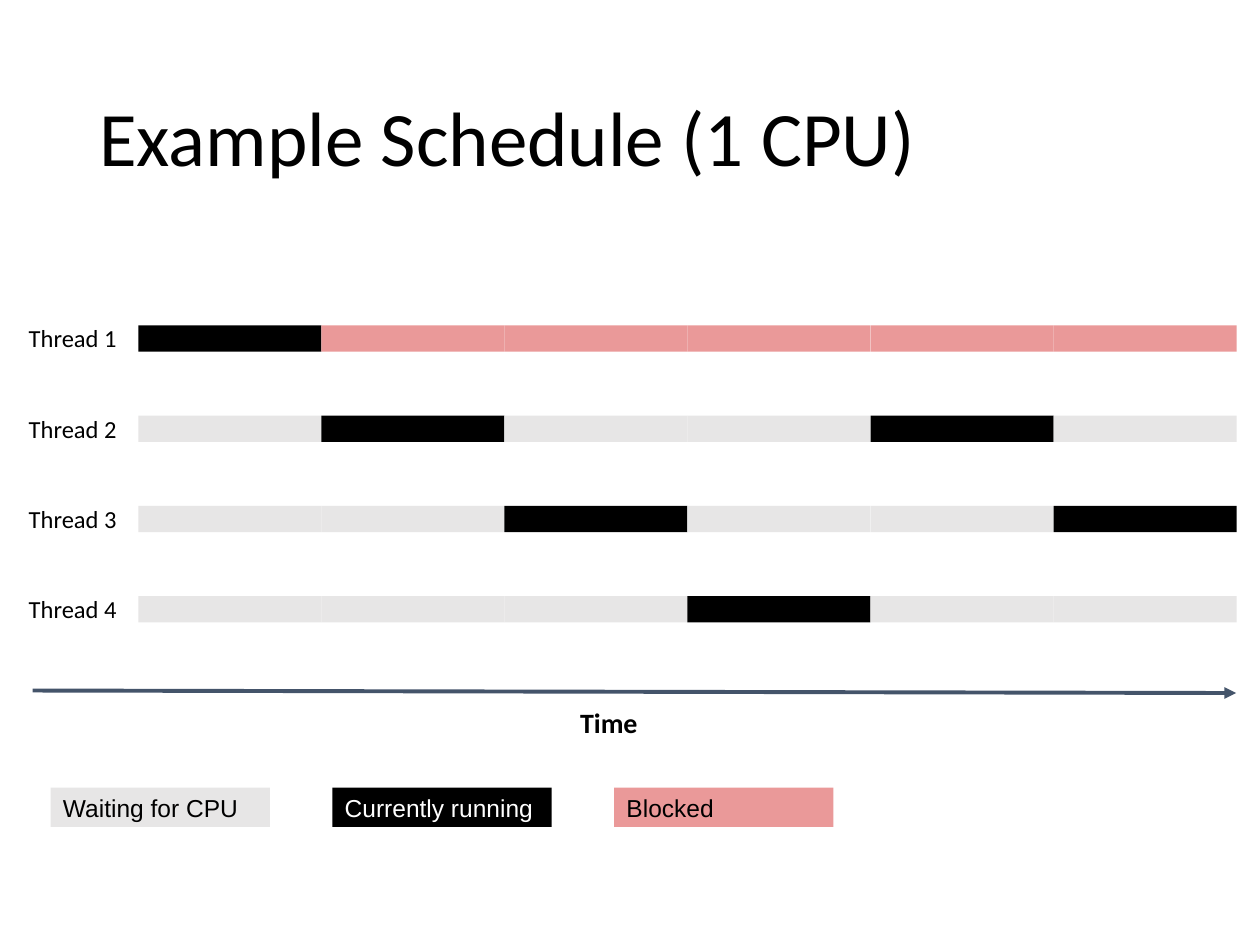
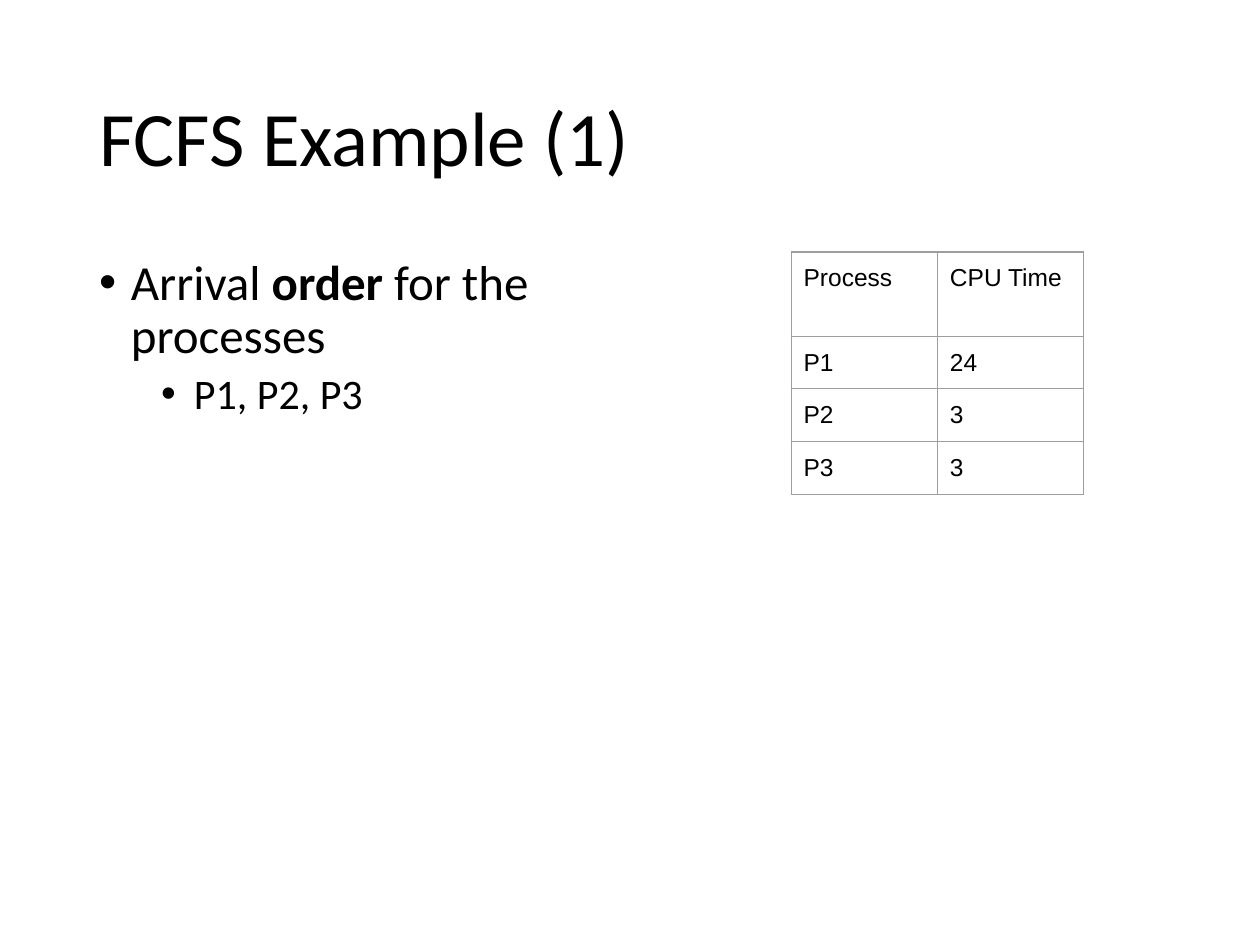
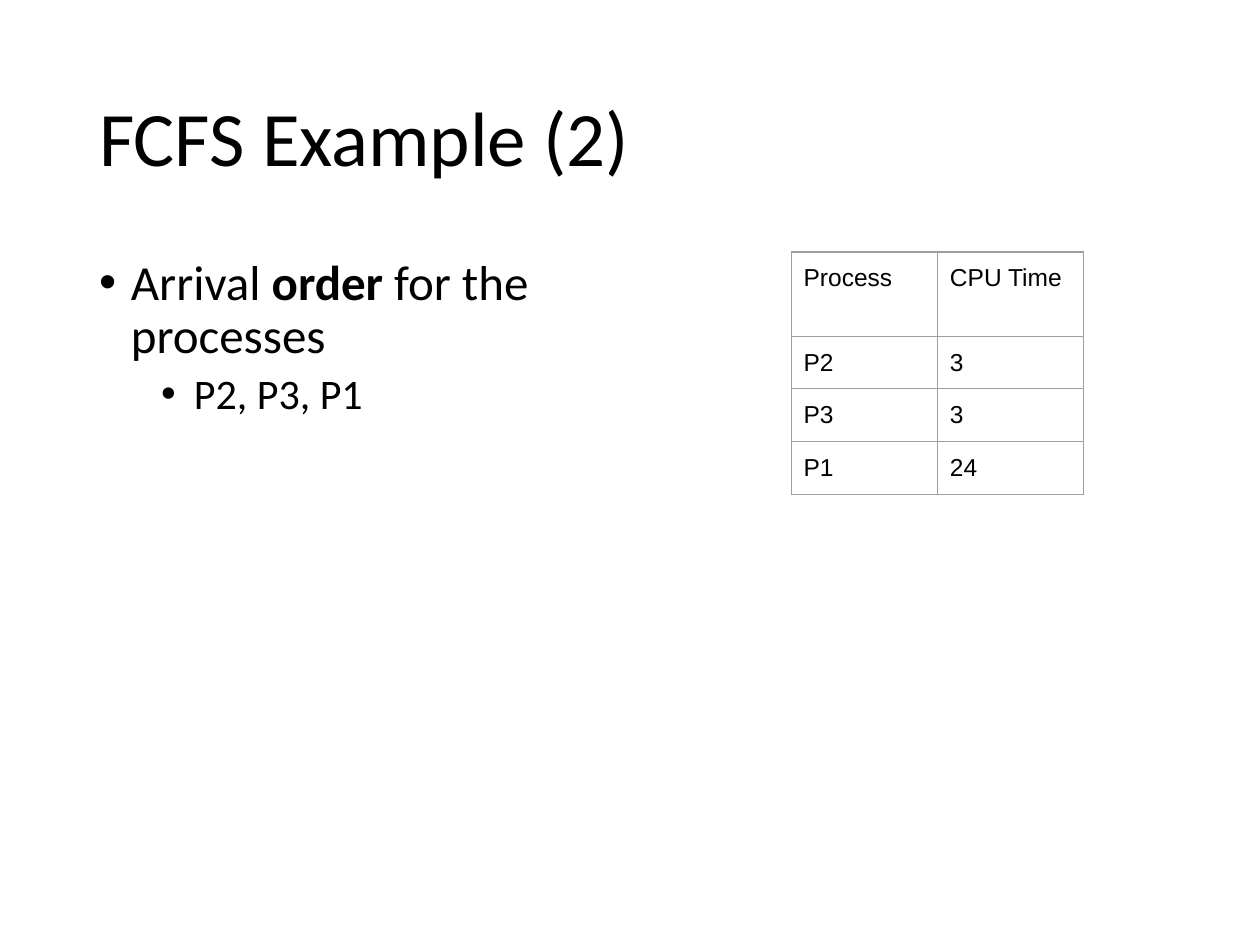
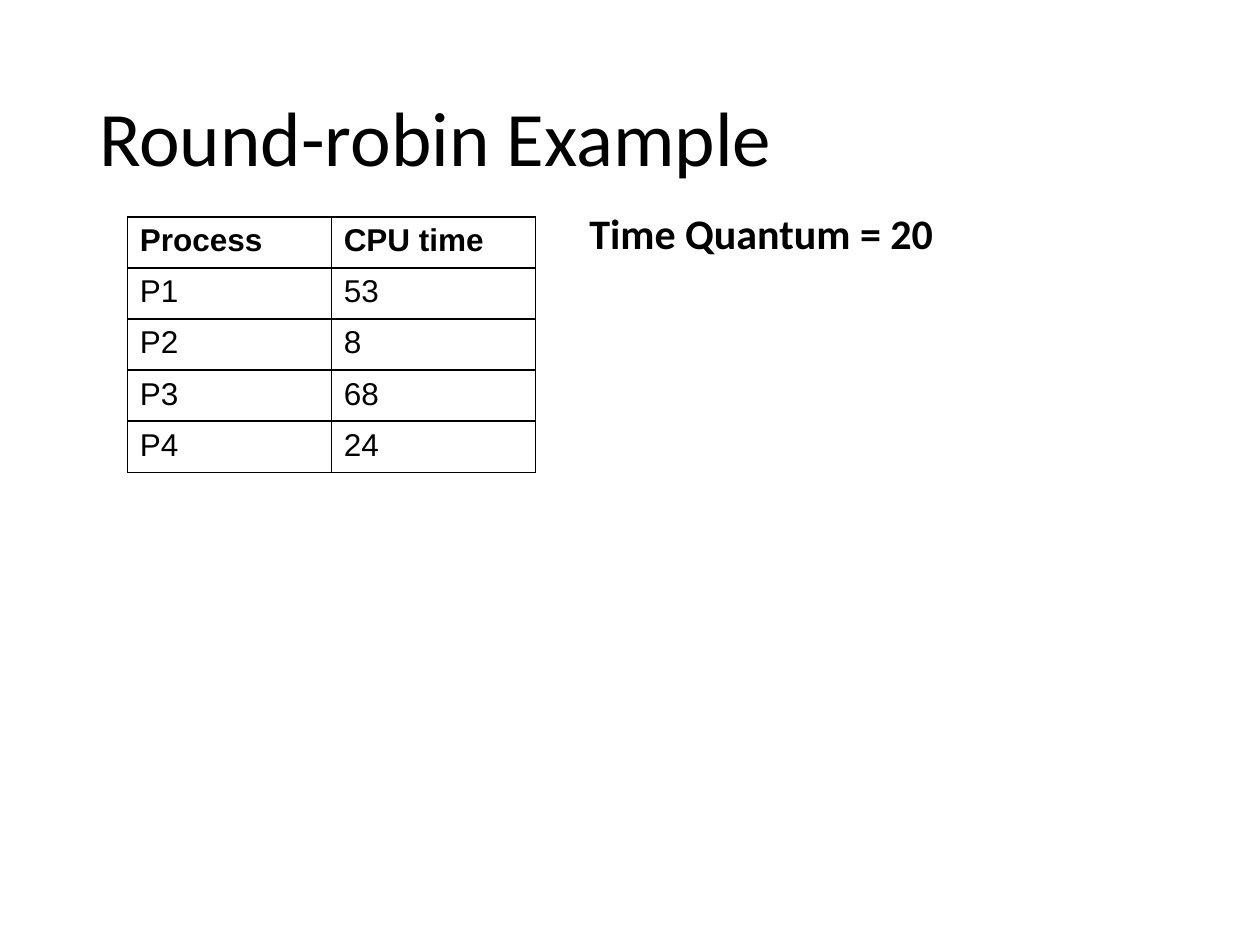
from dataclasses import dataclass

from lxml.etree import SubElement
from pptx import Presentation
from pptx.dml.color import RGBColor
from pptx.enum.shapes import MSO_CONNECTOR, MSO_SHAPE
from pptx.enum.text import MSO_ANCHOR, MSO_AUTO_SIZE, PP_ALIGN
from pptx.oxml.ns import qn
from pptx.util import Cm, Pt


@dataclass(frozen=True)
class Theme:
    black: str = "000000"
    white: str = "FFFFFF"
    waiting: str = "E7E6E6"
    blocked: str = "EA9999"
    arrow: str = "44546A"
    grid: str = "9E9E9E"
    head_font: str = "Calibri"
    plain_font: str = "Arial"
    title: int = 44
    body: int = 28
    sub: int = 24
    table: int = 18
    axis: int = 16
    label: int = 14


T = Theme()
PAD, THIN_PAD = 0.25, 0.13

STATES = {
    "W": ("Waiting for CPU", T.waiting, T.black),
    "R": ("Currently running", T.black, T.white),
    "B": ("Blocked", T.blocked, T.black),
}
SCHEDULE = [
    ("Thread 1", "RBBBBB"),
    ("Thread 2", "WRWWRW"),
    ("Thread 3", "WWRWWR"),
    ("Thread 4", "WWWRWW"),
]
ARRIVAL = [("Arrival ", False), ("order", True), (" for the processes", False)]
FCFS = [
    ("FCFS Example (1)", [("P1", "24"), ("P2", "3"), ("P3", "3")]),
    ("FCFS Example (2)", [("P2", "3"), ("P3", "3"), ("P1", "24")]),
]
FCFS_HEAD = ("Process", "CPU Time")
ROUND_ROBIN = [("Process", "CPU time"), ("P1", "53"), ("P2", "8"),
               ("P3", "68"), ("P4", "24")]

BAR_X, BAR_Y, BAR_W, BAR_H, BAR_PITCH = 2.79, 6.56, 3.69, 0.53, 1.82
KEY_X, KEY_Y, KEY_W, KEY_H, KEY_PITCH = 1.02, 15.88, 4.42, 0.79, 5.68


def style(p, size, font=T.head_font, color=T.black, bold=False):
    for r in p.runs:
        r.font.name = font
        r.font.size = Pt(size)
        r.font.bold = bold
        r.font.color.rgb = RGBColor.from_string(color)


def set_margins(obj, x, y):
    obj.margin_left = obj.margin_right = Cm(x)
    obj.margin_top = obj.margin_bottom = Cm(y)


def place(sp, x, y, w, h):
    sp.left, sp.top, sp.width, sp.height = Cm(x), Cm(y), Cm(w), Cm(h)


def add_slide(prs, title, layout="Title Only"):
    slide = prs.slides.add_slide(prs.slide_layouts.get_by_name(layout))
    sp = slide.shapes.title
    place(sp, 1.75, 1.02, 21.89, 3.68)
    tf = sp.text_frame
    tf.text = title
    tf.auto_size = MSO_AUTO_SIZE.NONE
    tf.vertical_anchor = MSO_ANCHOR.MIDDLE
    set_margins(tf, PAD, THIN_PAD)
    p = tf.paragraphs[0]
    p.alignment = PP_ALIGN.LEFT
    p.line_spacing = 0.9
    style(p, T.title)
    return slide


def add_text(shapes, text, box, size, pad_y=PAD, bold=False, align=PP_ALIGN.LEFT):
    tf = shapes.add_textbox(*map(Cm, box)).text_frame
    tf.word_wrap = True
    tf.text = text
    set_margins(tf, PAD, pad_y)
    p = tf.paragraphs[0]
    p.alignment = align
    style(p, size, bold=bold)


def add_bar(shapes, box, fill):
    sp = shapes.add_shape(MSO_SHAPE.RECTANGLE, *map(Cm, box))
    sp.shadow.inherit = False
    sp.fill.solid()
    sp.fill.fore_color.rgb = RGBColor.from_string(fill)
    sp.line.fill.background()
    return sp


def add_arrow(shapes, x1, y1, x2, y2):
    line = shapes.add_connector(MSO_CONNECTOR.STRAIGHT, *map(Cm, (x1, y1, x2, y2)))
    line.line.width = Pt(2.25)
    line.line.color.rgb = RGBColor.from_string(T.arrow)
    SubElement(line.line._get_or_add_ln(), qn("a:tailEnd"), type="triangle")
    SubElement(line._element.spPr, qn("a:effectLst"))


def add_border(cell, color, width):
    tc_pr = cell._tc.get_or_add_tcPr()
    for side in ("a:lnL", "a:lnR", "a:lnT", "a:lnB"):
        ln = SubElement(tc_pr, qn(side), w=str(Pt(width)))
        fill = SubElement(ln, qn("a:solidFill"))
        SubElement(fill, qn("a:srgbClr"), val=color)


def add_table(slide, rows, x, y, col_w, heights, size, border, pad_y, bold_head=False):
    n_cols = len(rows[0])
    frame = slide.shapes.add_table(len(rows), n_cols, Cm(x), Cm(y),
                                   Cm(col_w * n_cols), Cm(sum(heights)))
    table = frame.table
    table.first_row = table.horz_banding = False
    for col in table.columns:
        col.width = Cm(col_w)
    for i, (row, height) in enumerate(zip(rows, heights)):
        table.rows[i].height = Cm(height)
        for j, text in enumerate(row):
            cell = table.cell(i, j)
            cell.text = text
            set_margins(cell, PAD, pad_y)
            add_border(cell, *border)
            cell.fill.background()
            style(cell.text_frame.paragraphs[0], size, T.plain_font,
                  bold=bold_head and i == 0)


def set_bullet(p, left, hang):
    p_pr = p._p.get_or_add_pPr()
    p_pr.set("marL", str(Cm(left)))
    p_pr.set("indent", str(-Cm(hang)))
    color = SubElement(p_pr, qn("a:buClr"))
    SubElement(color, qn("a:srgbClr"), val=T.black)
    SubElement(p_pr, qn("a:buFont"), typeface=T.plain_font)
    SubElement(p_pr, qn("a:buChar"), char="•")


def add_bullets(slide, order):
    sp = slide.placeholders[1]
    place(sp, 1.75, 5.08, 10.95, 12.09)
    tf = sp.text_frame
    tf.auto_size = MSO_AUTO_SIZE.NONE
    set_margins(tf, PAD, THIN_PAD)
    levels = [(ARRIVAL, T.body, 0.64, 0), ([(order, False)], T.sub, 1.91, 5)]
    for level, (parts, size, left, before) in enumerate(levels):
        p = tf.add_paragraph() if level else tf.paragraphs[0]
        p.level = level
        p.line_spacing = 0.9
        p.space_before = Pt(before)
        set_bullet(p, left, 0.66)
        for text, _ in parts:
            p.add_run().text = text
        style(p, size)
        for r, (_, bold) in zip(p.runs, parts):
            r.font.bold = bold


def build_schedule(prs):
    shapes = add_slide(prs, "Example Schedule (1 CPU)").shapes
    for i, (thread, states) in enumerate(SCHEDULE):
        group = shapes.add_group_shape().shapes
        y = BAR_Y + i * BAR_PITCH
        for j, state in enumerate(states):
            add_bar(group, (BAR_X + j * BAR_W, y, BAR_W, BAR_H), STATES[state][1])
        add_text(group, thread, (0.33, y - 0.29, 2.44, 1.12), T.label)
    add_arrow(shapes, 0.66, 13.92, 24.92, 13.97)
    add_text(shapes, "Time", (10.52, 13.97, 3.51, 1.19), T.axis,
             bold=True, align=PP_ALIGN.CENTER)
    for i, (name, fill, color) in enumerate(STATES.values()):
        sp = add_bar(shapes, (KEY_X + i * KEY_PITCH, KEY_Y, KEY_W, KEY_H), fill)
        tf = sp.text_frame
        tf.text = name
        tf.vertical_anchor = MSO_ANCHOR.MIDDLE
        set_margins(tf, PAD, PAD)
        p = tf.paragraphs[0]
        p.alignment = PP_ALIGN.LEFT
        style(p, T.label, T.plain_font, color)


def build_fcfs(prs, title, jobs):
    slide = add_slide(prs, title, "Title and Content")
    add_bullets(slide, ", ".join(name for name, _ in jobs))
    add_table(slide, [FCFS_HEAD, *jobs], 15.95, 5.08, 2.95,
              [1.7] + [1.06] * len(jobs), T.label, (T.grid, 0.75), PAD)


def build_round_robin(prs):
    slide = add_slide(prs, "Round-robin Example")
    add_table(slide, ROUND_ROBIN, 2.57, 4.37, 4.11, [1.03] * len(ROUND_ROBIN),
              T.table, (T.black, 1), THIN_PAD, bold_head=True)
    add_text(slide.shapes, "Time Quantum = 20", (11.63, 4.06, 7.52, 1.27),
             T.sub, THIN_PAD, bold=True)


def main():
    prs = Presentation()
    prs.slide_width, prs.slide_height = Cm(25.4), Cm(19.05)
    build_schedule(prs)
    for title, jobs in FCFS:
        build_fcfs(prs, title, jobs)
    build_round_robin(prs)
    prs.save("out.pptx")


if __name__ == "__main__":
    main()
